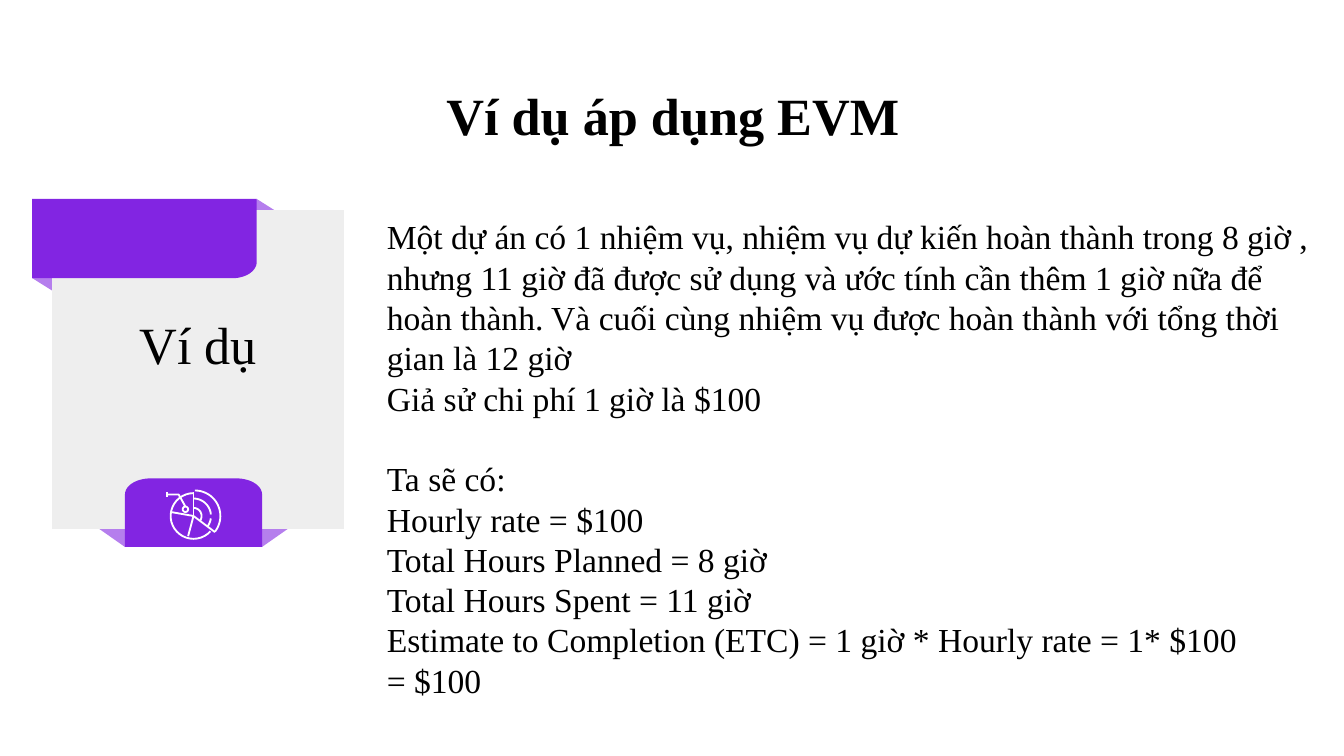
import math

import lxml.etree
import pptx
import pptx.dml.color
import pptx.enum.text
import pptx.oxml.ns
import pptx.util

Inches = pptx.util.Inches
Pt = pptx.util.Pt
ANCHOR = pptx.enum.text.MSO_ANCHOR
ALIGN = pptx.enum.text.PP_ALIGN

BLACK = pptx.dml.color.RGBColor(0x00, 0x00, 0x00)
WHITE = pptx.dml.color.RGBColor(0xFF, 0xFF, 0xFF)
PURPLE = pptx.dml.color.RGBColor(0x82, 0x25, 0xE2)
GREY = pptx.dml.color.RGBColor(0xEE, 0xEE, 0xEE)
FONT = "Times New Roman"
LINE_PITCH = Pt(21.6)

TASK = (
    "Một dự án có 1 nhiệm vụ, nhiệm vụ dự kiến hoàn thành trong 8 giờ , "
    "nhưng 11 giờ đã được sử dụng và ước tính cần thêm 1 giờ nữa để hoàn thành. "
    "Và cuối cùng nhiệm vụ được hoàn thành với tổng thời gian là 12 giờ"
)
ASSUMPTION = "Giả sử chi phí 1 giờ là $100"
RESULTS = [
    "Ta sẽ có:",
    "Hourly rate = $100",
    "Total Hours Planned = 8 giờ",
    "Total Hours Spent = 11 giờ",
    "Estimate to Completion (ETC) = 1 giờ * Hourly rate = 1* $100",
    "= $100",
]

FOLDS = [
    [(0.46, 2.05), (0.24, 2.07), (0.48, 2.22)],
    [(0.99, 3.91), (0.73, 3.93), (0.93, 4.07)],
    [(1.9, 3.91), (1.95, 4.07), (2.15, 3.93)],
    [(1.91, 1.48), (1.87, 1.6), (2.1, 1.6)],
]


def arc(x, y, rx, ry, start, end, steps=24):
    """Return points on an ellipse, with angles in degrees clockwise from the right."""
    angles = [math.radians(start + (end - start) * i / steps) for i in range(steps + 1)]
    return [(x + rx * math.cos(a), y + ry * math.sin(a)) for a in angles]


def add_outline(shapes, contours, closed=True):
    """Draw contours, given in inches, as one freeform."""
    emu = [[(Inches(x), Inches(y)) for x, y in contour] for contour in contours]
    builder = shapes.build_freeform(*emu[0][0])
    for index, contour in enumerate(emu):
        if index:
            builder.move_to(*contour[0])
        builder.add_line_segments(contour[1:], close=closed)
    outline = builder.convert_to_shape()
    outline.shadow.inherit = False
    return outline


def add_panel(shapes, points, color, alpha=None):
    """Draw a filled panel without a border, optionally translucent."""
    panel = add_outline(shapes, [points])
    panel.line.fill.background()
    panel.fill.solid()
    panel.fill.fore_color.rgb = color
    if alpha is not None:
        tint = panel.element.find(".//" + pptx.oxml.ns.qn("a:srgbClr"))
        lxml.etree.SubElement(tint, pptx.oxml.ns.qn("a:alpha"), val=str(alpha * 1000))


def add_text(shapes, box, lines, size, frame_format, paragraph_format, bold=False):
    """Add a text box with one paragraph per line and return its paragraphs."""
    frame = shapes.add_textbox(*map(Inches, box)).text_frame
    frame.word_wrap = True
    for name, value in frame_format.items():
        setattr(frame, name, value)
    frame.text = "\n".join(lines)
    for paragraph in frame.paragraphs:
        for name, value in paragraph_format.items():
            setattr(paragraph, name, value)
        for run in paragraph.runs:
            for name, value in {"name": FONT, "size": Pt(size), "bold": bold}.items():
                setattr(run.font, name, value)
            run.font.color.rgb = BLACK
    return frame.paragraphs


def add_heading(shapes, box, text, bold=False):
    """Add a centred 28-point heading."""
    margins = {f"margin_{side}": Inches(0.1) for side in ("left", "top", "right", "bottom")}
    add_text(shapes, box, [text], 28, {"vertical_anchor": ANCHOR.MIDDLE, **margins},
             {"alignment": ALIGN.CENTER}, bold)


def add_card(slide):
    """Add the grey card with its ribbon, tab and label."""
    card = slide.shapes.add_group_shape().shapes
    for fold in FOLDS:
        add_panel(card, fold, PURPLE, 59)
    add_panel(card, [(0.39, 1.56), (0.39, 3.94), (2.56, 3.94), (2.56, 1.56)], GREY)
    ribbon_corner = arc(1.73, 1.95, 0.18, 0.12, 0, 90)
    add_panel(card, [(0.24, 1.48), (1.91, 1.48), *ribbon_corner, (0.24, 2.07)], PURPLE)
    tab_corners = arc(1.12, 3.68, 0.19, 0.12, 180, 270) + arc(1.76, 3.68, 0.19, 0.12, 270, 360)
    add_panel(card, [(0.93, 4.07), *tab_corners, (1.95, 4.07)], PURPLE)
    add_heading(card, (0.45, 2.36, 2.05, 0.39), "Ví dụ")


def add_wheel_icon(slide):
    """Add the white line icon of a segmented wheel with a pointer."""
    hub = (1.44, 3.84)
    spoke_ends = [(1.27, 3.81), (1.4, 3.99), (1.6, 3.96), (1.44, 3.66)]
    rings = [(0.17, 42, 270), (0.06, 270, 398), (0.13, 270, 355), (0.13, 8, 38)]
    contours = [[hub, end] for end in spoke_ends]
    contours += [arc(*hub, radius, radius, start, end) for radius, start, end in rings]
    contours += [
        arc(1.45, 3.84, 0.19, 0.19, 270, 398),
        arc(1.38, 3.79, 0.02, 0.02, 0, 360),
        [(1.24, 3.66), (1.24, 3.7)],
        [(1.24, 3.68), (1.33, 3.68), (1.38, 3.77)],
    ]
    icon = add_outline(slide.shapes, contours, closed=False)
    icon.fill.background()
    icon.line.color.rgb = WHITE
    icon.line.width = Pt(1)


def main():
    """Build and save the slide."""
    presentation = pptx.Presentation()
    presentation.slide_width = Inches(10)
    presentation.slide_height = Inches(10) * 9 // 16
    slide = presentation.slides.add_slide(presentation.slide_layouts[6])
    add_heading(slide.shapes, (0.78, 0.59, 8.45, 0.53), "Ví dụ áp dụng EVM", bold=True)
    add_card(slide)
    add_wheel_icon(slide)
    lines = [TASK, ASSUMPTION, *RESULTS]
    paragraphs = add_text(slide.shapes, (2.78, 1.56, 7.12, 3.74), lines, 18,
                          {"vertical_anchor": ANCHOR.TOP}, {"line_spacing": LINE_PITCH})
    paragraphs[-len(RESULTS)].space_before = LINE_PITCH
    presentation.save("out.pptx")


if __name__ == "__main__":
    main()
